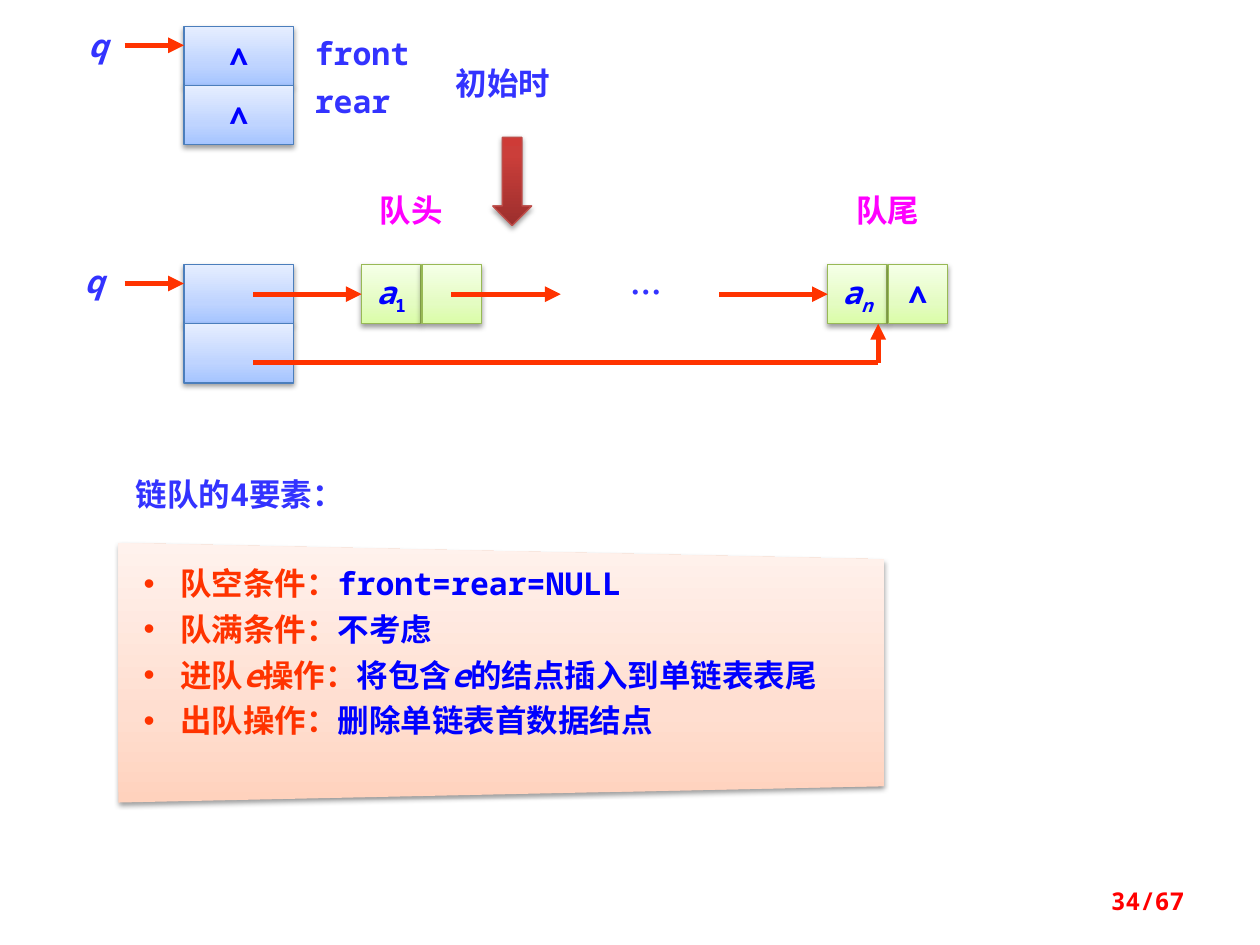
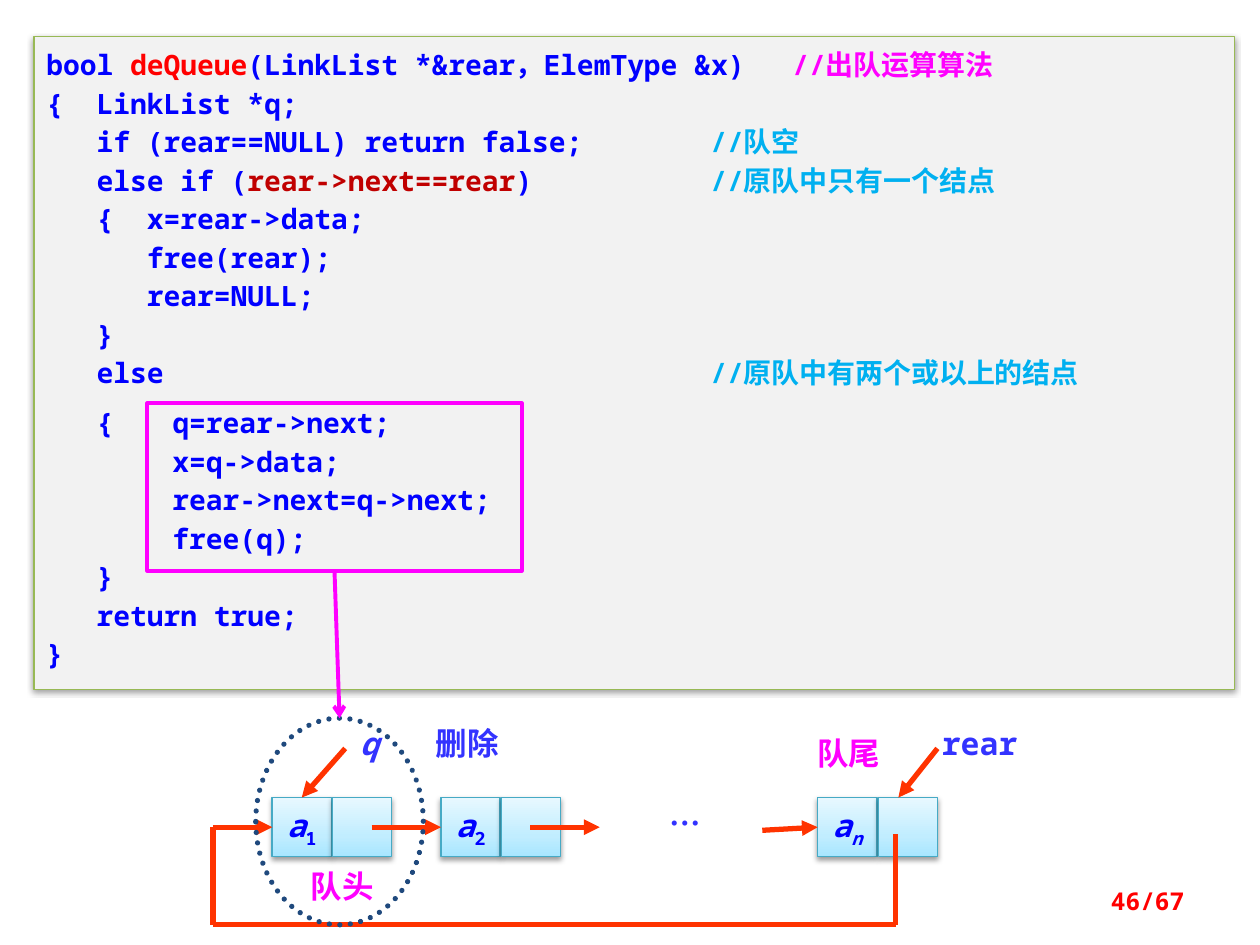
"""Builds two slides on linked queues: the structure and the dequeue algorithm."""
from pptx import Presentation
from pptx.dml.color import RGBColor
from pptx.enum.dml import MSO_LINE
from pptx.enum.shapes import MSO_CONNECTOR, MSO_SHAPE
from pptx.enum.text import MSO_ANCHOR, PP_ALIGN
from pptx.oxml import parse_xml
from pptx.oxml.ns import nsdecls, qn
from pptx.oxml.xmlchemy import OxmlElement
from pptx.util import Inches, Pt

RECT, OVAL, DOWN_ARROW = MSO_SHAPE.RECTANGLE, MSO_SHAPE.OVAL, MSO_SHAPE.DOWN_ARROW
STRAIGHT = MSO_CONNECTOR.STRAIGHT
LEFT, CENTER, RIGHT = PP_ALIGN.LEFT, PP_ALIGN.CENTER, PP_ALIGN.RIGHT
TOP, MIDDLE = MSO_ANCHOR.TOP, MSO_ANCHOR.MIDDLE
DOTTED = MSO_LINE.ROUND_DOT
SITE_TOP, SITE_LEFT, SITE_BOTTOM = 0, 1, 2

MONO, CJK = "Noto Sans Mono", "Noto Sans CJK SC"
COLORS = {
    "ink": "0000FF", "label": "3333FF", "pointer": "FF3300", "accent": "FF00FF",
    "page": "FF0000", "comment": "00B0F0", "condition": "C00000",
    "code_fill": "F2F2F2", "code_edge": "98B955", "ring": "1F497D",
}
GRADIENTS = {
    "blue": ("4B7EBC", [(0, "A4C4FF"), (35, "BFD4FF"), (100, "E6EEFF")]),
    "green": ("98B955", [(0, "DAFDA7"), (35, "E4FCC2"), (100, "F5FFE7")]),
    "cyan": ("46AAC5", [(0, "A7E6FF"), (35, "C1EDFF"), (100, "E7F8FF")]),
    "orange": (None, [(0, "FFD2BD"), (35, "FFDED0"), (100, "FFF2ED")]),
    "red": ("BF4C48", [(0, "9C2F2D"), (80, "CB3E3A"), (100, "CE3B37")]),
}
CELL, CELL_STEP = 0.47, 0.48
HEAD_WIDTH = 0.87
ITALIC = {"italic": True}
SUBSCRIPT = {"baseline": -25000}
ORANGE = {"color": "pointer"}


def rgb(hex_string):
    """Turn a hex string into a colour."""
    return RGBColor.from_string(hex_string)


def format_run(run, size=18, font=MONO, color="ink", bold=True, italic=False, baseline=0):
    """Set the character format of one run."""
    run.font.size, run.font.name = Pt(size), font
    run.font.bold, run.font.italic = bold, italic
    run.font.color.rgb = rgb(COLORS[color])
    properties = run.font._element
    east_asian = OxmlElement("a:ea")
    east_asian.set("typeface", CJK)
    properties.find(qn("a:latin")).addnext(east_asian)
    if baseline:
        properties.set("baseline", str(baseline))


def write(frame, paragraphs, align=LEFT, anchor=TOP, wrap=True, gap=0, spacing=None,
          bullet=False, tabs=(), **font):
    """Fill a frame; a paragraph is a string or a list of (text, overrides) runs."""
    frame.word_wrap, frame.vertical_anchor = wrap, anchor
    for index, runs in enumerate(paragraphs):
        paragraph = frame.add_paragraph() if index else frame.paragraphs[0]
        properties = paragraph._p.get_or_add_pPr()
        if bullet:
            properties.set("marL", str(Inches(0.29)))
            properties.set("indent", str(-Inches(0.29)))
            properties.append(parse_xml(
                f'<a:buFont {nsdecls("a")} typeface="Arial"/>'))
            properties.append(parse_xml(f'<a:buChar {nsdecls("a")} char="•"/>'))
        if index < len(tabs) and tabs[index]:
            properties.append(parse_xml(
                f'<a:tabLst {nsdecls("a")}><a:tab pos="{Inches(tabs[index])}" algn="l"/>'
                '</a:tabLst>'))
        paragraph.alignment = align
        if index and gap:
            paragraph.space_before = Pt(gap)
        if spacing:
            paragraph.line_spacing = spacing
        for text, overrides in [(runs, {})] if isinstance(runs, str) else runs:
            run = paragraph.add_run()
            run.text = text
            format_run(run, **{**font, **overrides})


def add_label(slide, x, y, width, *paragraphs, height=0.4, color="label", **fmt):
    """Add a text box."""
    box = slide.shapes.add_textbox(Inches(x), Inches(y), Inches(width), Inches(height))
    write(box.text_frame, paragraphs, color=color, **fmt)


def add_shadow(shape):
    """Give a shape a soft shadow below it."""
    shape.shadow.inherit = False
    shape._element.spPr.find(qn("a:effectLst")).append(parse_xml(
        f'<a:outerShdw {nsdecls("a")} blurRad="{Pt(3.1)}" dist="{Pt(1.6)}" dir="5400000" '
        'rotWithShape="0"><a:srgbClr val="000000"><a:alpha val="38000"/></a:srgbClr>'
        '</a:outerShdw>'))


def paint(shape, scheme):
    """Fill a shape with a gradient running upwards, with its edge and shadow."""
    edge, stops = GRADIENTS[scheme]
    stop_xml = "".join(f'<a:gs pos="{position * 1000}"><a:srgbClr val="{color}"/></a:gs>'
                       for position, color in stops)
    shape.fill.background()
    properties = shape._element.spPr
    properties.replace(properties.find(qn("a:noFill")), parse_xml(
        f'<a:gradFill {nsdecls("a")} rotWithShape="1"><a:gsLst>{stop_xml}</a:gsLst>'
        '<a:lin ang="16200000" scaled="0"/></a:gradFill>'))
    if edge:
        shape.line.color.rgb, shape.line.width = rgb(edge), Pt(0.75)
    else:
        shape.line.fill.background()
    add_shadow(shape)


def add_block(slide, kind, x, y, width, height, scheme, runs=None):
    """Add a gradient shape with an optional centred label."""
    block = slide.shapes.add_shape(kind, Inches(x), Inches(y), Inches(width), Inches(height))
    paint(block, scheme)
    if runs:
        write(block.text_frame, [runs], align=CENTER, anchor=MIDDLE, wrap=False)
    return block


def add_outline(slide, kind, x, y, width, height, color, weight, dash=None):
    """Add an unfilled outline around part of the slide."""
    outline = slide.shapes.add_shape(kind, Inches(x), Inches(y), Inches(width), Inches(height))
    outline.shadow.inherit = False
    outline.fill.background()
    outline.line.color.rgb, outline.line.width = rgb(COLORS[color]), Pt(weight)
    if dash:
        outline.line.dash_style = dash
        outline._element.spPr.find(qn("a:ln")).set("cap", "rnd")
    return outline


def add_line(slide, start, end, color="pointer", weight=3, head="triangle"):
    """Draw a line between two ends, each a point or a (shape, site) pair."""
    start_joined, end_joined = (not isinstance(tip[0], (int, float)) for tip in (start, end))
    x1, y1 = (0, 0) if start_joined else start
    x2, y2 = (0, 0) if end_joined else end
    line = slide.shapes.add_connector(STRAIGHT, Inches(x1), Inches(y1), Inches(x2), Inches(y2))
    if start_joined:
        line.begin_connect(*start)
    if end_joined:
        line.end_connect(*end)
    line.line.color.rgb, line.line.width = rgb(COLORS[color]), Pt(weight)
    properties = line._element.spPr
    if head:
        tail_end = OxmlElement("a:tailEnd")
        tail_end.set("type", head)
        properties.find(qn("a:ln")).append(tail_end)
    properties.append(OxmlElement("a:effectLst"))


def add_node(slide, x, y, scheme, subscript, link=None):
    """Add a list node of a data cell and a link cell, and return the data cell."""
    runs = [("a", ITALIC), (subscript, {**SUBSCRIPT, "italic": subscript == "n"})]
    data = add_block(slide, RECT, x, y, CELL, CELL, scheme, runs)
    add_block(slide, RECT, x + CELL_STEP, y, CELL, CELL, scheme, link)
    return data


def add_queue_head(slide, y, pointer_x, pointer_y, content=None):
    """Add the queue's front and rear fields with the pointer q."""
    for row in range(2):
        add_block(slide, RECT, 1.46, y + row * CELL, HEAD_WIDTH, CELL, "blue", content)
    add_line(slide, (0.99, y + 0.15), (1.46, y + 0.15))
    add_label(slide, pointer_x, pointer_y, 0.47, "q", align=CENTER, italic=True)


def add_page_number(slide, number):
    """Add the page number at the lower right."""
    add_label(slide, 7.17, 6.95, 2.33, f"{number}/67", color="page", size=14,
              align=RIGHT, anchor=MIDDLE)


def add_elements_panel(slide):
    """Add the slanted panel that lists the four elements of a linked queue."""
    builder = slide.shapes.build_freeform(Inches(0.94), Inches(4.31))
    corners = [(7.02, 4.44), (7.02, 6.24), (0.94, 6.37)]
    builder.add_line_segments([(Inches(x), Inches(y)) for x, y in corners])
    panel = builder.convert_to_shape()
    paint(panel, "orange")
    frame = panel.text_frame
    frame.margin_left, frame.margin_top = Inches(0.2), Inches(0.17)
    elements = [
        [("队空条件：", ORANGE), ("front=rear=NULL", {})],
        [("队满条件：", ORANGE), ("不考虑", {})],
        [("进队", ORANGE), ("e", {**ORANGE, **ITALIC}), ("操作：", ORANGE),
         ("将包含", {}), ("e", ITALIC), ("的结点插入到单链表表尾", {})],
        [("出队操作：", ORANGE), ("删除单链表首数据结点", {})],
    ]
    write(frame, elements, bullet=True, gap=4.5)


def build_structure_slide(slide):
    """Show an empty and a filled linked queue and the four elements."""
    add_elements_panel(slide)
    add_label(slide, 0.98, 3.72, 1.98, "链队的4要素：")
    add_queue_head(slide, 0.21, 0.54, 0.16, "∧")
    add_label(slide, 2.4, 0.22, 1.5, "front", "rear", height=0.86, gap=6)
    add_label(slide, 3.52, 0.46, 1.26, "初始时")

    add_queue_head(slide, 2.1, 0.51, 2.03)
    first = add_node(slide, 2.87, 2.1, "green", "1")
    last = add_node(slide, 6.57, 2.1, "green", "n", "∧")
    link_y = 2.1 + CELL / 2
    add_line(slide, (2.01, link_y), (first, SITE_LEFT))
    add_line(slide, (5.71, link_y), (last, SITE_LEFT))
    add_line(slide, (3.58, link_y), (4.45, link_y))
    add_line(slide, (2.01, 2.88), (6.97, 2.88), head=None)
    add_line(slide, (6.97, 2.88), (6.97, 2.57))
    add_label(slide, 4.69, 2.12, 0.87, "…", align=CENTER, font=CJK)
    for x, name in ((2.87, "队头"), (6.65, "队尾")):
        add_label(slide, x, 1.47, 0.79, name, align=CENTER, font=CJK, color="accent")
    add_block(slide, DOWN_ARROW, 3.91, 1.09, 0.31, 0.7, "red")
    add_page_number(slide, 34)


def add_code(slide):
    """Add the panel with the dequeue code."""
    panel = slide.shapes.add_shape(RECT, Inches(0.27), Inches(0.29), Inches(9.53), Inches(5.18))
    panel.fill.solid()
    panel.fill.fore_color.rgb = rgb(COLORS["code_fill"])
    panel.line.color.rgb, panel.line.width = rgb(COLORS["code_edge"]), Pt(0.75)
    add_shadow(panel)
    comment = {"color": "comment"}
    lines = [
        [("bool ", {}), ("deQueue", {"color": "page"}),
         ("(LinkList *&rear，ElemType &x)\t", {}), ("//出队运算算法", {"color": "accent"})],
        "{  LinkList *q;",
        [("   if (rear==NULL) return false;\t", {}), ("//队空", comment)],
        [("   else if (", {}), ("rear->next==rear", {"color": "condition"}), (")\t", {}),
         ("//原队中只有一个结点", comment)],
        "   {  x=rear->data;",
        "      free(rear);",
        "      rear=NULL;",
        "   }",
        [("   else\t", {}), ("//原队中有两个或以上的结点", comment)],
        "   {\tq=rear->next;",
        "\tx=q->data;",
        "\trear->next=q->next;",
        "\tfree(q);",
        "   }",
        "   return true;",
        "}",
    ]
    tabs = [5.92, None, 5.27, 5.27, None, None, None, None, 5.27, 1, 1, 1, 1]
    write(panel.text_frame, lines, size=16, spacing=Pt(22), tabs=tabs)
    panel.text_frame.paragraphs[9].line_spacing = 1.5


def build_dequeue_slide(slide):
    """Show the dequeue code and the circular list it works on."""
    add_code(slide)
    add_label(slide, 7.34, 5.7, 0.87, "rear", align=CENTER)
    node_y = 6.33
    link_y = node_y + CELL / 2
    first, second, last = (add_node(slide, x, node_y, "cyan", subscript)
                           for x, subscript in ((2.16, "1"), (3.5, "2"), (6.49, "n")))
    add_line(slide, (6.05, 6.59), (last, SITE_LEFT))
    add_line(slide, (2.95, link_y), (second, SITE_LEFT))
    add_line(slide, (4.21, link_y), (4.76, link_y))
    add_label(slide, 5, 6.33, 0.87, "…", align=CENTER, font=CJK)

    return_route = [(7.11, 6.62), (7.11, 7.34), (1.69, 7.34), (1.69, link_y)]
    for start, end in zip(return_route, return_route[1:]):
        add_line(slide, start, end, head=None)
    add_line(slide, return_route[-1], (first, SITE_LEFT))
    add_line(slide, (7.44, 5.94), (7.13, 6.33))
    for x, y, name in ((2.24, 6.83, "队头"), (6.26, 5.78, "队尾")):
        add_label(slide, x, y, 0.95, name, align=CENTER, font=CJK, color="accent")

    removed_node = add_outline(slide, OVAL, 2.03, 5.7, 1.33, 1.64, "ring", 3, DOTTED)
    removal_code = add_outline(slide, RECT, 1.17, 3.2, 2.97, 1.33, "accent", 2.25)
    add_line(slide, (removal_code, SITE_BOTTOM), (removed_node, SITE_TOP),
             color="accent", weight=2.25, head="arrow")
    add_label(slide, 3.36, 5.7, 0.94, "删除", font=CJK)
    add_label(slide, 2.73, 5.7, 0.4, "q", align=CENTER, italic=True)
    add_line(slide, (2.74, 5.94), (first, SITE_TOP))
    add_page_number(slide, 46)


def main():
    """Build the presentation and save it."""
    presentation = Presentation()
    presentation.slide_width, presentation.slide_height = Inches(10), Inches(7.5)
    blank = presentation.slide_layouts[6]
    for build in (build_structure_slide, build_dequeue_slide):
        build(presentation.slides.add_slide(blank))
    presentation.save("out.pptx")


if __name__ == "__main__":
    main()
